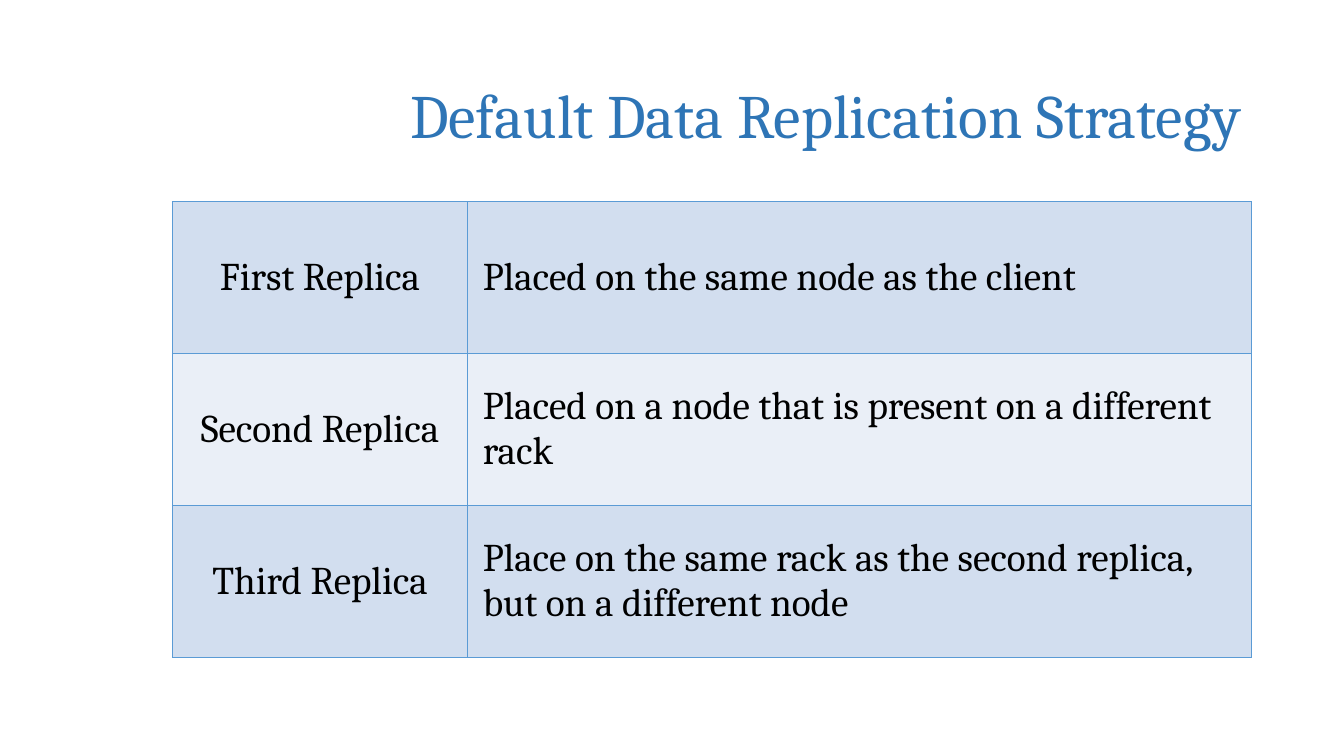
from lxml.etree import SubElement
from pptx import Presentation
from pptx.dml.color import RGBColor
from pptx.enum.text import MSO_ANCHOR, PP_ALIGN
from pptx.oxml.ns import qn
from pptx.util import Pt

TITLE = "Default Data Replication Strategy"
ROWS = [
    ("First Replica", "Placed on the same node as the client"),
    ("Second Replica", "Placed on a node that is present on a different rack"),
    ("Third Replica", "Place on the same rack as the second replica, but on a different node"),
]

FONT = "Cambria"
BLUE = RGBColor(0x2E, 0x75, 0xB6)
EDGE = RGBColor(0x5B, 0x9B, 0xD5)
BLACK = RGBColor(0, 0, 0)
BANDS = [RGBColor(0xD2, 0xDE, 0xEF), RGBColor(0xEA, 0xEF, 0xF7)]
WIDTHS = [211, 559.6]
HEIGHT = 108.6
INSET = 10.8


def style(frame, size, color, align):
    for para in frame.paragraphs:
        para.alignment = align
        for run in para.runs:
            run.font.name = FONT
            run.font.size = Pt(size)
            run.font.color.rgb = color


def outline(cell):
    props = cell._tc.get_or_add_tcPr()
    for side in ("lnL", "lnR", "lnT", "lnB"):
        line = SubElement(props, qn(f"a:{side}"), w=str(Pt(1)))
        fill = SubElement(line, qn("a:solidFill"))
        SubElement(fill, qn("a:srgbClr"), val=str(EDGE))


def add_title(slide):
    title = slide.shapes.title
    title.left, title.top = Pt(182.9), Pt(28.8)
    title.width, title.height = Pt(711.4), Pt(104.4)
    frame = title.text_frame
    frame.text = TITLE
    frame.vertical_anchor = MSO_ANCHOR.MIDDLE
    style(frame, 44, BLUE, PP_ALIGN.RIGHT)


def add_grid(slide):
    grid = slide.shapes.add_table(
        len(ROWS), len(WIDTHS), Pt(123.1), Pt(144),
        Pt(sum(WIDTHS)), Pt(HEIGHT * len(ROWS)),
    ).table
    grid.first_row = False
    grid.horz_banding = False
    for col, width in zip(grid.columns, WIDTHS):
        col.width = Pt(width)
    for r, texts in enumerate(ROWS):
        grid.rows[r].height = Pt(HEIGHT)
        for c, text in enumerate(texts):
            cell = grid.cell(r, c)
            cell.text_frame.text = text
            cell.vertical_anchor = MSO_ANCHOR.MIDDLE
            if c == 1:
                cell.margin_left = cell.margin_right = Pt(INSET)
                cell.margin_top = cell.margin_bottom = Pt(INSET)
            outline(cell)
            cell.fill.solid()
            cell.fill.fore_color.rgb = BANDS[r % 2]
            align = PP_ALIGN.LEFT if c else PP_ALIGN.CENTER
            style(cell.text_frame, 28, BLACK, align)


def main():
    deck = Presentation()
    deck.slide_width, deck.slide_height = Pt(960), Pt(540)
    slide = deck.slides.add_slide(deck.slide_layouts[5])
    add_title(slide)
    add_grid(slide)
    deck.save("out.pptx")


if __name__ == "__main__":
    main()
